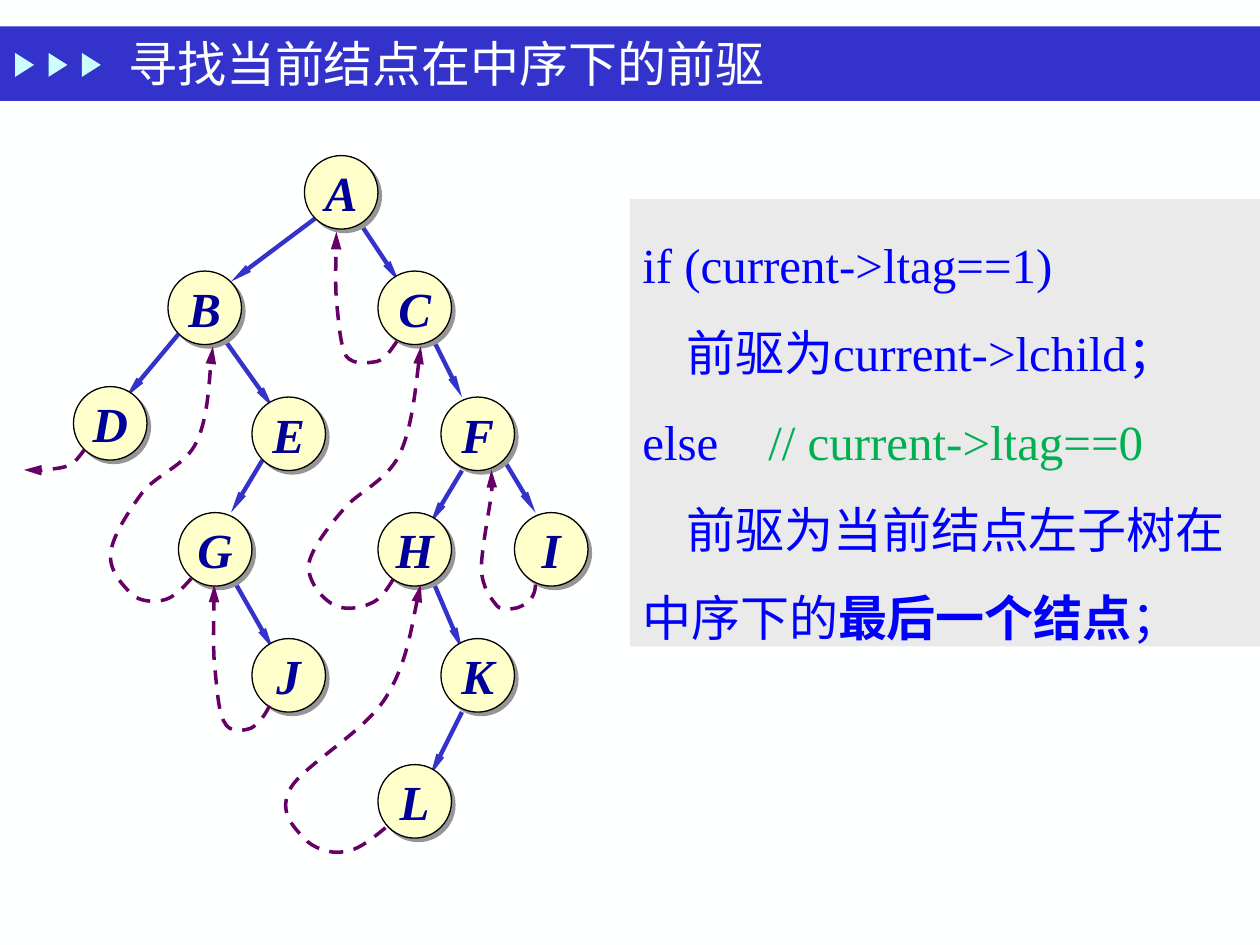
import lxml.etree
import pptx
import pptx.dml.color
import pptx.enum.dml
import pptx.enum.shapes
import pptx.enum.text
import pptx.oxml
import pptx.oxml.ns
import pptx.util

SHAPE = pptx.enum.shapes.MSO_SHAPE
ANCHOR = pptx.enum.text.MSO_ANCHOR
ALIGN = pptx.enum.text.PP_ALIGN
qn = pptx.oxml.ns.qn

WHITE, BAND, MARKER = "FEFFFF", "3333CC", "CBFFFF"
NODE, LETTER, NODE_SHADOW, THREAD = "FFFFCC", "000099", "969696", "660066"
PANEL, CODE, COMMENT = "EAEAEA", "0000FF", "00B050"

# Columns and rows of the tree grid: top left corner of each node
NODES = {
    "A": (29, 0), "B": (16, 11), "C": (36, 11), "D": (7, 22),
    "E": (24, 23), "F": (42, 23), "G": (17, 34), "H": (36, 34),
    "I": (49, 34), "J": (24, 46), "K": (42, 46), "L": (36, 58),
}
NODE_SIZE = 7

# Tree grid: start and end of each branch
BRANCHES = [
    (30, 6, 22, 12), (34, 6, 38, 12), (17, 17, 12, 23), (21, 17, 26, 24),
    (41, 17, 44, 23), (25, 29, 22, 34), (44, 30, 41, 35), (48, 29, 51, 34),
    (22, 40, 26, 47), (41, 40, 44, 47), (44, 53, 41, 59),
]

# Page grid: start, then two control points and an end for each curve
THREADS = {
    "C to A": [(31.5, 27.1), (31, 27.8), (30.6, 28.5), (29.9, 28.7),
               (29.2, 28.8), (28.1, 29), (27.5, 28.3),
               (27, 27.5), (26.9, 25.6), (26.7, 23.9),
               (26.6, 22.3), (26.7, 19.3), (26.7, 18.4)],
    "I to F": [(42.5, 46.4), (42.5, 46.8), (42.4, 47.2), (42.1, 47.6),
               (41.8, 47.9), (41.2, 48.3), (40.7, 48.3),
               (40.3, 48.4), (39.7, 48.5), (39.3, 47.9),
               (38.9, 47.4), (38.3, 46.6), (38.2, 45.2),
               (38.2, 43.8), (38.8, 40.6), (39, 39.3),
               (39.1, 38), (39, 37.6), (39, 37.3)],
    "D to none": [(6.7, 35.7), (6.3, 36.2), (6, 36.7), (5.5, 36.9),
                  (5, 37.2), (4.1, 37.2), (3.5, 37.3),
                  (2.9, 37.4), (2.2, 37.3), (1.9, 37.3)],
    "G to B": [(15.2, 45.9), (14.5, 46.7), (13.8, 47.4), (13.1, 47.6),
               (12.3, 47.8), (11.2, 47.8), (10.5, 47.2),
               (9.8, 46.5), (8.6, 45.3), (8.8, 43.9),
               (8.9, 42.6), (10.2, 40.6), (11.3, 39.1),
               (12.5, 37.6), (14.7, 37), (15.6, 35.1),
               (16.5, 33.2), (16.7, 28.7), (16.9, 27.5)],
    "H to C": [(31.2, 46), (30.7, 46.8), (30.2, 47.6), (29.4, 47.9),
               (28.6, 48.3), (27.1, 48.5), (26.3, 47.9),
               (25.5, 47.4), (24.4, 46.1), (24.5, 44.8),
               (24.7, 43.6), (26, 41.9), (27.2, 40.5),
               (28.4, 39), (30.6, 38.3), (31.7, 36.1),
               (32.7, 34), (33.2, 28.9), (33.4, 27.5)],
    "L to H": [(30.6, 65.7), (29.5, 66.6), (28.4, 67.5), (27.3, 67.6),
               (26.2, 67.8), (24.8, 67.3), (24.1, 66.5),
               (23.3, 65.6), (22, 64.4), (23.1, 62.5),
               (24.2, 60.7), (28.9, 58.1), (30.6, 55.4),
               (32.3, 52.7), (33, 47.8), (33.4, 46.4)],
    "J to G": [(21.4, 56), (21, 56.8), (20.5, 57.5), (19.9, 57.8),
               (19.3, 58), (18.2, 58.2), (17.8, 57.3),
               (17.3, 56.5), (17.2, 54.3), (17, 52.5),
               (16.9, 50.7), (17, 47.4), (17, 46.4)],
}


def rgb(hex_string):
    return pptx.dml.color.RGBColor.from_string(hex_string)


def grid(count):
    """Length of a number of page columns or rows, a tenth of an inch each."""
    return pptx.util.Inches(count / 10)


def tree_to_page(column, row):
    """Turn a tree position, in twelfths of an inch, into page columns and rows."""
    return column / 1.2, 12.35 + row / 1.2


def add_run(paragraph, text, *, color, font, size=28, bold=False, italic=False):
    run = paragraph.add_run()
    run.text = text
    run.font.name, run.font.size = font, pptx.util.Pt(size)
    run.font.bold, run.font.italic = bold, italic
    run.font.color.rgb = rgb(color)


class TreeSlide:
    font = "Times New Roman"

    def __init__(self, slide):
        self.slide = slide
        self.shapes = slide.shapes
        slide.background.fill.solid()
        slide.background.fill.fore_color.rgb = rgb(WHITE)

    def block(self, kind, left, top, width, height, fill):
        block = self.shapes.add_shape(kind, *map(grid, (left, top, width, height)))
        block.shadow.inherit = False
        block.fill.solid()
        block.fill.fore_color.rgb = rgb(fill)
        block.line.fill.background()
        return block

    def title(self, text, left, top, width, height):
        frame = self.shapes.add_textbox(*map(grid, (left, top, width, height))).text_frame
        frame.word_wrap = True
        frame.vertical_anchor = ANCHOR.MIDDLE
        add_run(frame.paragraphs[0], text, color=WHITE, font=self.font)

    def node(self, letter, column, row):
        size = NODE_SIZE / 1.2
        node = self.block(SHAPE.OVAL, *tree_to_page(column, row), size, size, NODE)
        node.line.color.rgb = rgb("000000")
        node.line.width = pptx.util.Pt(0.75)
        effects = node._element.spPr.find(qn("a:effectLst"))
        shadow = lxml.etree.SubElement(
            effects, qn("a:outerShdw"), dist=str(pptx.util.Pt(2.8)), dir="2700000")
        lxml.etree.SubElement(shadow, qn("a:srgbClr"), val=NODE_SHADOW)
        frame = node.text_frame
        frame.word_wrap = False
        frame.vertical_anchor = ANCHOR.MIDDLE
        frame.paragraphs[0].alignment = ALIGN.CENTER
        add_run(frame.paragraphs[0], letter, color=LETTER, font=self.font,
                bold=True, italic=True)

    def arrow_line(self, line, color, width, head_width):
        line.color.rgb = rgb(color)
        line.width = pptx.util.Pt(width)
        lxml.etree.SubElement(line._get_or_add_ln(), qn("a:tailEnd"),
                              type="triangle", w=head_width, len="lg")

    def branch(self, start, end):
        ends = [grid(value) for point in (start, end) for value in tree_to_page(*point)]
        branch = self.shapes.add_connector(pptx.enum.shapes.MSO_CONNECTOR.STRAIGHT, *ends)
        self.arrow_line(branch.line, BAND, 2.5, "sm")
        lxml.etree.SubElement(branch._element.spPr, qn("a:effectLst"))

    def thread(self, points):
        """Draw a dashed arrow along cubic curves."""
        start, *rest = [(grid(x), grid(y)) for x, y in points]
        builder = self.shapes.build_freeform(*start)
        builder.add_line_segments(rest, close=False)
        thread = builder.convert_to_shape()
        thread.shadow.inherit = False
        thread.fill.background()
        thread.line.dash_style = pptx.enum.dml.MSO_LINE.DASH
        self.arrow_line(thread.line, THREAD, 2, "med")
        # Every three straight segments become one cubic curve
        segments = list(thread._element.iter(qn("a:lnTo")))
        for first, second, third in zip(*[iter(segments)] * 3):
            first.tag = qn("a:cubicBezTo")
            for segment in (second, third):
                first.append(segment[0])
                segment.getparent().remove(segment)

    def code_panel(self, lines, left, top, width, height):
        """Each line is its indent in columns and its (text, format) runs."""
        frame = self.block(SHAPE.RECTANGLE, left, top, width, height, PANEL).text_frame
        frame.word_wrap = True
        frame.vertical_anchor = ANCHOR.TOP
        for number, (indent, runs) in enumerate(lines):
            paragraph = frame.add_paragraph() if number else frame.paragraphs[0]
            paragraph.alignment = ALIGN.LEFT
            paragraph.line_spacing = 1.5
            properties = paragraph._p.get_or_add_pPr()
            properties.set("indent", str(grid(indent)))
            tabs = lxml.etree.SubElement(properties, qn("a:tabLst"))
            lxml.etree.SubElement(tabs, qn("a:tab"), pos=str(grid(8.9)), algn="l")
            for text, style in runs:
                add_run(paragraph, text, font=self.font, **{"color": CODE, **style})


def main():
    deck = pptx.Presentation()
    deck.slide_width, deck.slide_height = grid(100), grid(75)
    page = TreeSlide(deck.slides.add_slide(deck.slide_layouts[6]))

    page.block(SHAPE.RECTANGLE, 0, 2.1, 100, 5.9, BAND)
    for number in range(3):
        marker = page.block(SHAPE.ISOSCELES_TRIANGLE, 1 + 2.65 * number, 4.4, 1.9, 1.5, MARKER)
        marker.rotation = 90
    page.title("寻找当前结点在中序下的前驱", 9.2, 2.1, 70, 5.8)

    for x1, y1, x2, y2 in BRANCHES:
        page.branch((x1, y1), (x2, y2))
    for letter, position in NODES.items():
        page.node(letter, *position)
    for points in THREADS.values():
        page.thread(points)

    page.code_panel([
        (0, [("if (current->ltag==1)", {})]),
        (3.5, [("前驱为current->lchild；", {})]),
        (0, [("else\t", {}), ("// current->ltag==0", {"color": COMMENT})]),
        (3.5, [("前驱为当前结点左子树在中序下的", {}),
               ("最后一个结点", {"bold": True}), ("；", {})]),
    ], 50, 15.8, 50, 35.5)
    deck.save("out.pptx")


if __name__ == "__main__":
    main()
